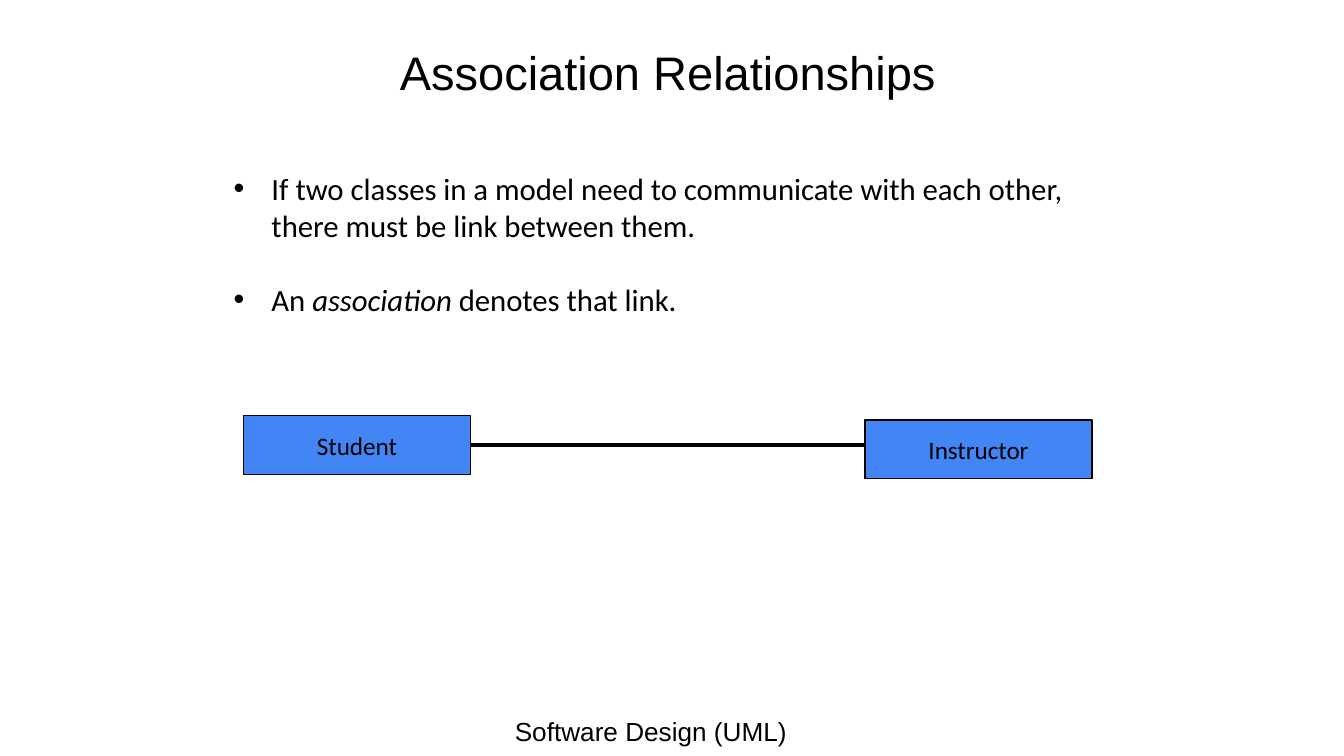
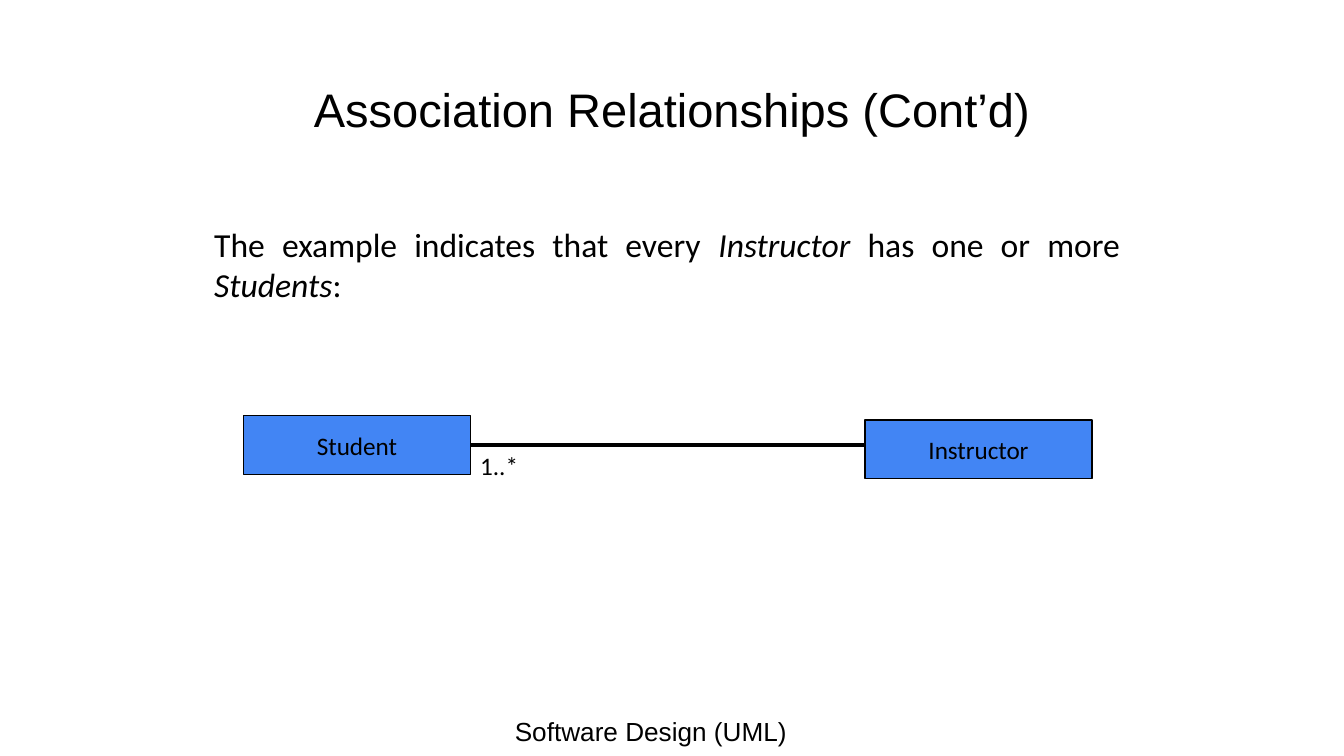
from lxml import etree
from pptx import Presentation
from pptx import util as u
from pptx.dml.color import RGBColor
from pptx.enum import shapes, text
from pptx.oxml.ns import qn

PX = 9525
COLORS = {"ink": "000000", "class": "4285F4", "paper": "FFFFFF"}
HEADING, BODY = "Arial", "Calibri"
LEFT, CENTER, JUSTIFY = text.PP_ALIGN.LEFT, text.PP_ALIGN.CENTER, text.PP_ALIGN.JUSTIFY
TOP, MIDDLE = text.MSO_ANCHOR.TOP, text.MSO_ANCHOR.MIDDLE
CLASS_SIZE = (162, 42)


def px(*lengths):
    """Turn whole pixels into EMU."""
    return [u.Emu(length * PX) for length in lengths]


def color(name):
    """Look up a named colour."""
    return RGBColor.from_string(COLORS[name])


class Deck:
    """Hold the shared style and the current slide."""

    def __init__(self):
        self.deck = Presentation()
        self.deck.slide_width, self.deck.slide_height = px(960, 540)
        self.page = None

    def add_page(self, title, title_area):
        """Start a slide with its footer and title."""
        self.page = self.deck.slides.add_slide(self.deck.slide_layouts[6])
        self.page.background.fill.solid()
        self.page.background.fill.fore_color.rgb = color("paper")
        self.label((306, 504, 318, 36), ["Software Design (UML)"], 14, HEADING, CENTER, MIDDLE)
        self.label(title_area, [title], 25.2, HEADING, CENTER, MIDDLE)

    def fill_text(self, box, lines, size, font=BODY, align=LEFT, anchor=TOP, bullets=False):
        """Fill a box with lines, setting the parts between underscores in italics."""
        frame = box.text_frame
        frame.word_wrap = True
        frame.vertical_anchor = anchor
        frame.margin_left, frame.margin_right = px(7, 7)
        frame.margin_top, frame.margin_bottom = px(4, 4)
        for index, line in enumerate(lines):
            para = frame.paragraphs[0] if index == 0 else frame.add_paragraph()
            para.alignment = align
            if index:
                para.space_before = u.Pt(20)
            if bullets:
                self.bullet(para)
            for part, words in enumerate(line.split("_")):
                if words:
                    span = para.add_run()
                    span.text = words
                    span.font.name, span.font.size = font, u.Pt(size)
                    span.font.color.rgb = color("ink")
                    span.font.italic = part % 2 == 1

    def bullet(self, para):
        """Give a paragraph a hanging round bullet."""
        indent = px(27)[0]
        properties = para._p.get_or_add_pPr()
        properties.set("marL", str(indent))
        properties.set("indent", str(-indent))
        tint = etree.SubElement(properties, qn("a:buClr"))
        etree.SubElement(tint, qn("a:srgbClr"), val=COLORS["ink"])
        etree.SubElement(properties, qn("a:buFont"), typeface="Arial")
        etree.SubElement(properties, qn("a:buChar"), char="•")

    def label(self, area, lines, size, *style, **options):
        """Add a text box."""
        box = self.page.shapes.add_textbox(*px(*area))
        self.fill_text(box, lines, size, *style, **options)

    def class_box(self, left, top, name):
        """Add a UML class rectangle."""
        box = self.page.shapes.add_shape(
            shapes.MSO_SHAPE.RECTANGLE, *px(left, top, *CLASS_SIZE))
        box.shadow.inherit = False
        box.fill.solid()
        box.fill.fore_color.rgb = color("class")
        box.line.color.rgb = color("ink")
        box.line.width = u.Pt(0.75)
        self.fill_text(box, [name], 13.5, align=CENTER, anchor=MIDDLE)
        return box

    def line(self, start, end):
        """Add a straight line."""
        link = self.page.shapes.add_connector(
            shapes.MSO_CONNECTOR.STRAIGHT, *px(*start, *end))
        link.line.color.rgb = color("ink")
        link.line.width = u.Pt(2.25)
        etree.SubElement(link._element.spPr, qn("a:effectLst"))
        return link

    def association(self):
        """Draw Student linked to Instructor, with the line behind both."""
        link = self.line((336, 318), (624, 318))
        self.class_box(618, 300, "Instructor")
        student = self.class_box(174, 297, "Student")
        link.begin_connect(student, 3)


def main():
    """Build both slides."""
    deck = Deck()

    deck.add_page("Association Relationships", (168, 30, 618, 42))
    deck.label((160, 117, 638, 114), [
        "If two classes in a model need to communicate with each other, "
        "there must be link between them.",
        "An _association_ denotes that link.",
    ], 16.5, bullets=True)
    deck.association()

    deck.add_page("Association Relationships (Cont’d)", (210, 33, 540, 90))
    deck.label((146, 156, 661, 65), [
        "The example indicates that every _Instructor_ has one or more _Students_:",
    ], 18, align=JUSTIFY)
    deck.association()
    deck.label((336, 318, 54, 29), ["1..*"], 13.5)

    deck.deck.save("out.pptx")


if __name__ == "__main__":
    main()
